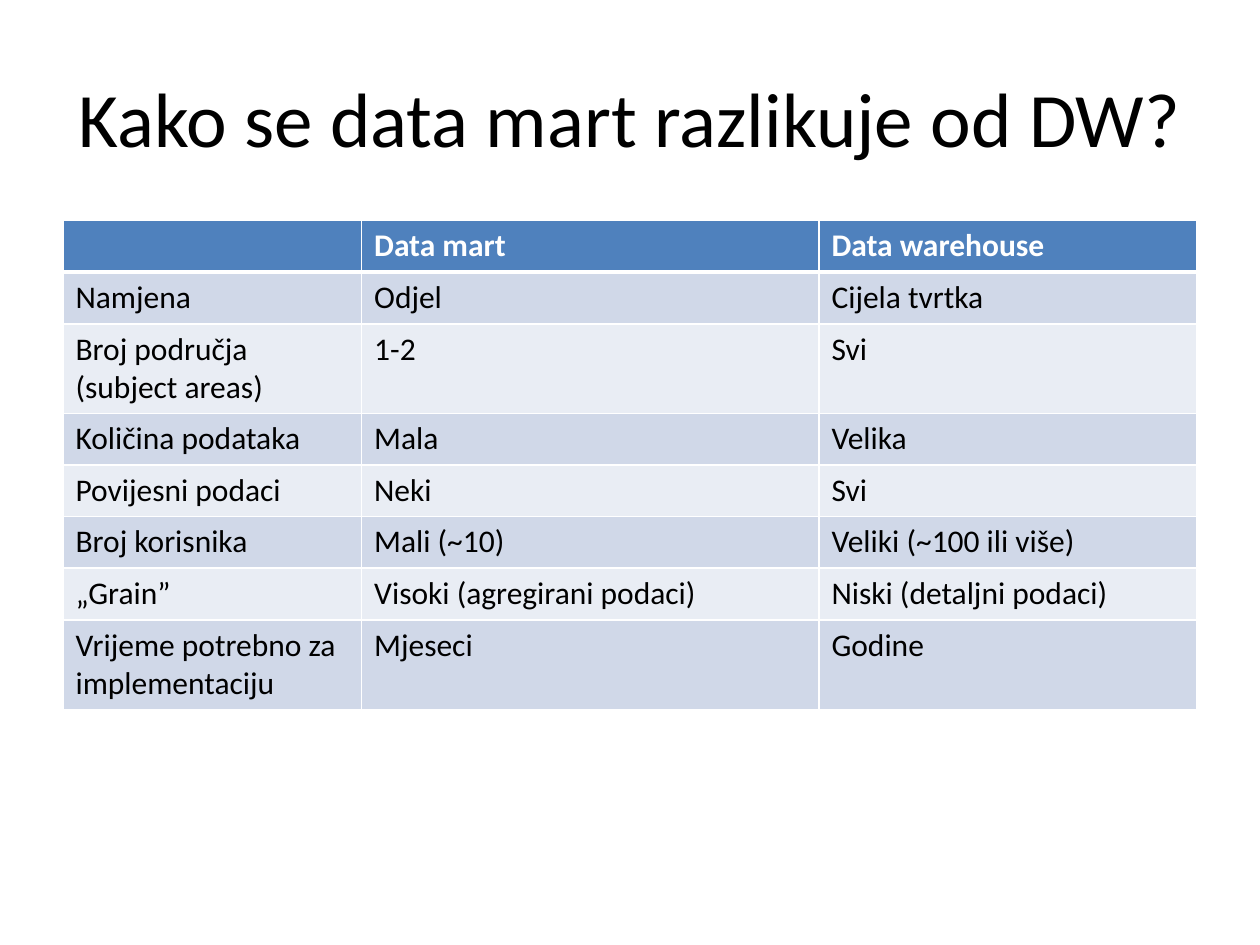
from lxml import etree
from pptx import Presentation
from pptx.dml.color import RGBColor
from pptx.enum import text
from pptx.oxml import ns
from pptx.util import Emu, Inches, Pt

BLACK = RGBColor(0x00, 0x00, 0x00)
WHITE = RGBColor(0xFF, 0xFF, 0xFF)
HEADER_BLUE = RGBColor(0x4F, 0x81, 0xBD)
BANDS = [RGBColor(0xD0, 0xD8, 0xE8), RGBColor(0xE9, 0xED, 0xF4)]

COMPARISON = [
    ("", "Data mart", "Data warehouse"),
    ("Namjena", "Odjel", "Cijela tvrtka"),
    ("Broj područja (subject areas)", "1-2", "Svi"),
    ("Količina podataka", "Mala", "Velika"),
    ("Povijesni podaci", "Neki", "Svi"),
    ("Broj korisnika", "Mali (~10)", "Veliki (~100 ili više)"),
    ("„Grain”", "Visoki (agregirani podaci)", "Niski (detaljni podaci)"),
    ("Vrijeme potrebno za implementaciju", "Mjeseci", "Godine"),
]


class SlideBuilder:
    """Places styled elements, with lengths as shares of the slide's size."""

    font_name = "Calibri"
    title_size = Pt(44)
    table_size = Pt(18)
    thin, thick = Pt(1), Pt(3)

    def __init__(self, deck):
        self.width, self.height = deck.slide_width, deck.slide_height
        self.slide = deck.slides.add_slide(deck.slide_layouts[5])

    def box(self, left, top, width, height):
        return (Emu(int(left * self.width)), Emu(int(top * self.height)),
                Emu(int(width * self.width)), Emu(int(height * self.height)))

    def style(self, paragraph, size, color, bold=False):
        font = paragraph.font
        font.name, font.size, font.bold = self.font_name, size, bold
        font.color.rgb = color

    def title(self, words, *area):
        heading = self.slide.shapes.title
        heading.left, heading.top, heading.width, heading.height = self.box(*area)
        frame = heading.text_frame
        frame.text = words
        frame.vertical_anchor = text.MSO_ANCHOR.MIDDLE
        frame.paragraphs[0].alignment = text.PP_ALIGN.CENTER
        self.style(frame.paragraphs[0], self.title_size, BLACK)

    def border(self, cell, side, width):
        line = etree.SubElement(cell._tc.get_or_add_tcPr(),
                                ns.qn(f"a:ln{side}"), w=str(width))
        fill = etree.SubElement(line, ns.qn("a:solidFill"))
        etree.SubElement(fill, ns.qn("a:srgbClr"), val=str(WHITE))

    def table(self, rows, column_shares, *area):
        grid = self.slide.shapes.add_table(
            len(rows), len(column_shares), *self.box(*area)).table
        for column, share in zip(grid.columns, column_shares):
            column.width = Emu(int(share * self.width))

        for r, row in enumerate(rows):
            header = r == 0
            for c, words in enumerate(row):
                cell = grid.cell(r, c)
                cell.text = words
                self.style(cell.text_frame.paragraphs[0], self.table_size,
                           WHITE if header else BLACK, header)
                # Borders come before the fill in the cell properties
                for side in "LRTB":
                    under_header = (r, side) in ((0, "B"), (1, "T"))
                    self.border(cell, side, self.thick if under_header else self.thin)
                cell.fill.solid()
                cell.fill.fore_color.rgb = HEADER_BLUE if header else BANDS[(r - 1) % 2]


def main():
    deck = Presentation()
    deck.slide_width, deck.slide_height = Inches(10), Inches(7.5)
    builder = SlideBuilder(deck)

    # Title
    builder.title("Kako se data mart razlikuje od DW?", 0.05, 0.04, 0.9, 1 / 6)

    # Comparison table; rows with two lines grow with their text
    builder.table(COMPARISON, (0.237, 0.363, 0.3),
                  0.05, 7 / 30, 0.9, len(COMPARISON) * 0.41 / 7.5)

    deck.save("out.pptx")


if __name__ == "__main__":
    main()
